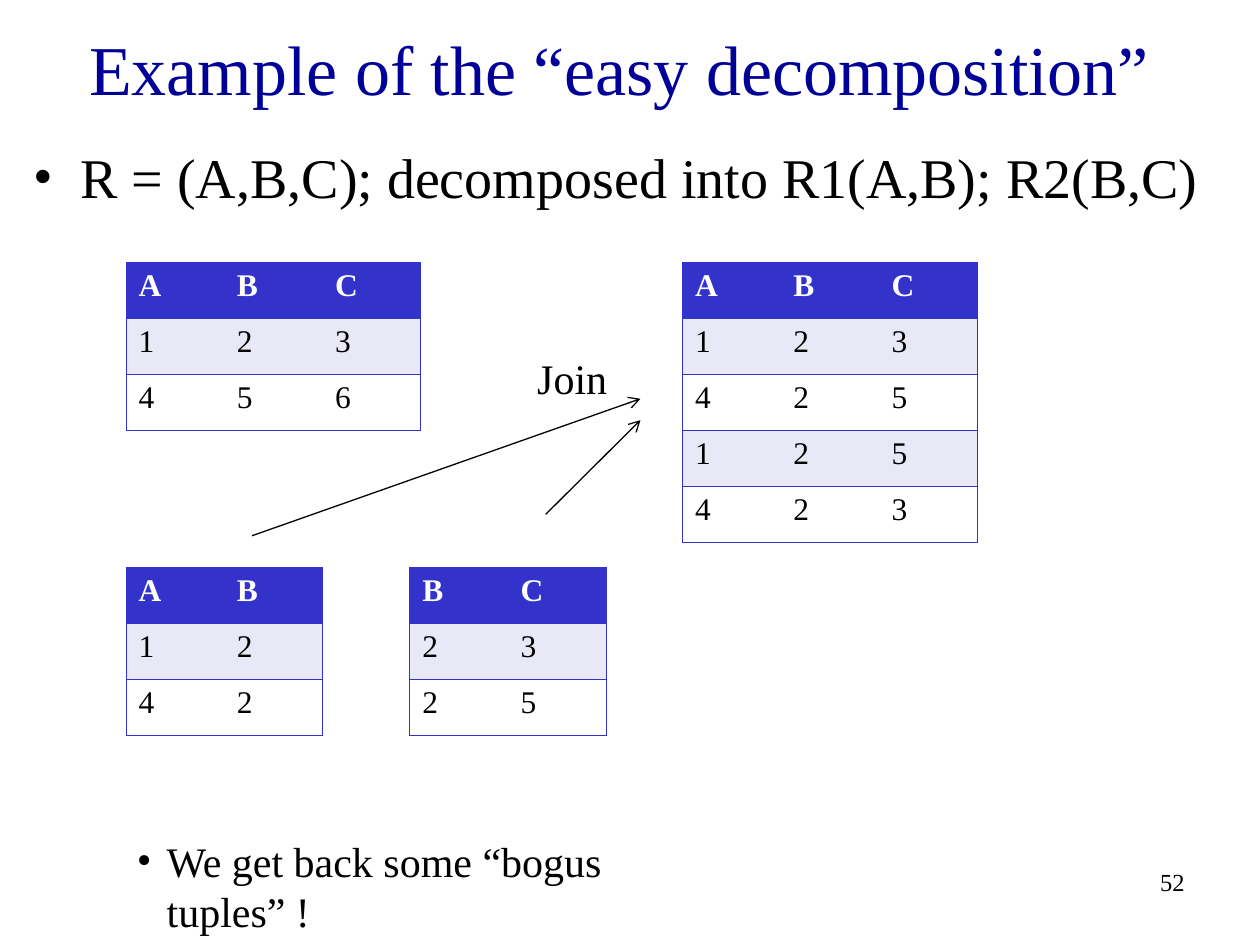
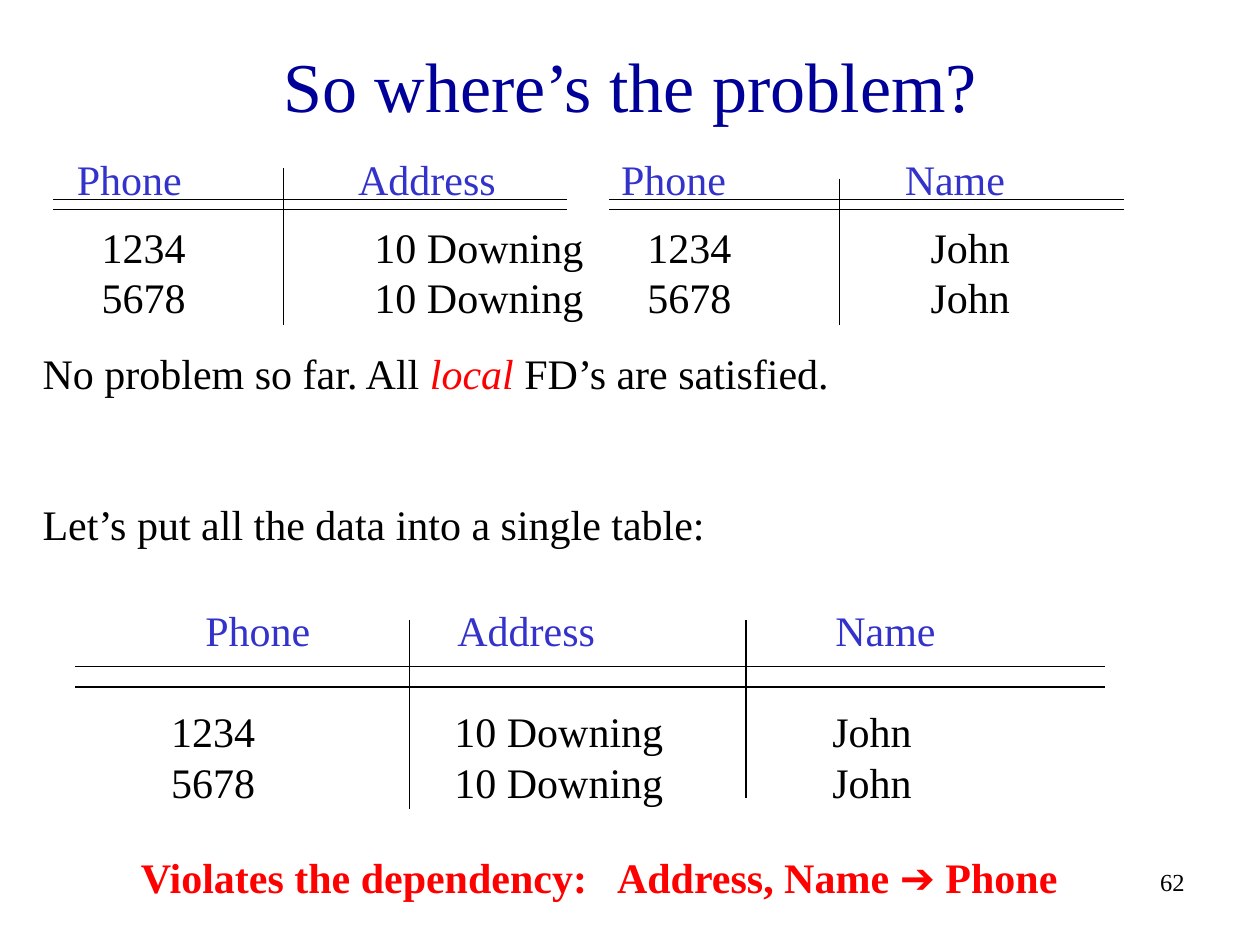
from lxml import etree
from pptx import Presentation
from pptx import util as u
from pptx.dml.color import RGBColor
from pptx.enum import shapes, text
from pptx.oxml.ns import qn

Cm, Pt = u.Cm, u.Pt

NAVY = RGBColor(0x00, 0x00, 0x99)
BLUE = RGBColor(0x33, 0x33, 0xCC)
PALE = RGBColor(0xE8, 0xE8, 0xF6)
WHITE = RGBColor(0xFF, 0xFF, 0xFF)
BLACK = RGBColor(0x00, 0x00, 0x00)
RED = RGBColor(0xFF, 0x00, 0x00)

FONT = "Times New Roman"
LEFT, CENTER, RIGHT = text.PP_ALIGN.LEFT, text.PP_ALIGN.CENTER, text.PP_ALIGN.RIGHT
TOP, MIDDLE = text.MSO_ANCHOR.TOP, text.MSO_ANCHOR.MIDDLE


def style_font(font, size=24, color=BLACK, bold=False, italic=False, name=FONT):
    font.name, font.size = name, Pt(size)
    font.bold, font.italic = bold, italic
    font.color.rgb = color


def add_bullet(para, indent):
    props = para._p.get_or_add_pPr()
    props.set("marL", str(Cm(indent)))
    props.set("indent", str(-Cm(indent)))
    etree.SubElement(props, qn("a:buFont"), typeface=FONT)
    etree.SubElement(props, qn("a:buChar"), char="•")


def add_tabs(para, stops):
    tab_list = etree.SubElement(para._p.get_or_add_pPr(), qn("a:tabLst"))
    for stop in stops:
        etree.SubElement(tab_list, qn("a:tab"), pos=str(Cm(stop)), algn="l")


def set_borders(cell, visible):
    """Draw the visible sides of a cell and clear the others."""
    props = cell._tc.get_or_add_tcPr()
    for place, side in enumerate("LRTB"):
        line = etree.Element(qn(f"a:ln{side}"), w=str(Pt(0.45)))
        if side in visible:
            fill = etree.SubElement(line, qn("a:solidFill"))
            etree.SubElement(fill, qn("a:srgbClr"), val=str(BLUE))
        else:
            etree.SubElement(line, qn("a:noFill"))
        props.insert(place, line)


class Lecture:
    """Shared style and the slide being drawn."""

    column, row = 1.98, 1.13

    def __init__(self):
        self.deck = Presentation()
        self.deck.slide_width, self.deck.slide_height = Cm(25.4), Cm(19.05)
        self.page = None

    def new_page(self, number):
        self.page = self.deck.slides.add_slide(self.deck.slide_layouts[6])
        self.text([number], 18.85, 17.35, 5.28, size=14, align=RIGHT)

    def text(self, paras, left, top, width, height=1.27, *, align=LEFT, anchor=TOP,
             bullet=None, tabs=(), gap=0, **font):
        """A paragraph is a string or a list of (text, font changes) spans."""
        box = self.page.shapes.add_textbox(Cm(left), Cm(top), Cm(width), Cm(height))
        frame = box.text_frame
        frame.word_wrap, frame.vertical_anchor = True, anchor
        for index, content in enumerate(paras):
            para = frame.add_paragraph() if index else frame.paragraphs[0]
            para.alignment = align
            if index and gap:
                para.space_before = Pt(gap)
            if bullet:
                add_bullet(para, bullet)
            if tabs:
                add_tabs(para, tabs)
            spans = [(content, {})] if isinstance(content, str) else content
            for words, changes in spans:
                span = para.add_run()
                span.text = words
                style_font(span.font, **{**font, **changes})

    def title(self, words, left, top, width, height):
        self.text([words], left, top, width, height, align=CENTER, anchor=MIDDLE,
                  size=40, color=NAVY)

    def line(self, x1, y1, x2, y2, arrow=False):
        line = self.page.shapes.add_connector(
            shapes.MSO_CONNECTOR.STRAIGHT, Cm(x1), Cm(y1), Cm(x2), Cm(y2))
        line.line.color.rgb, line.line.width = BLACK, Pt(0.75)
        if arrow:
            etree.SubElement(line.line._get_or_add_ln(), qn("a:tailEnd"), type="arrow")
        etree.SubElement(line._element.spPr, qn("a:effectLst"))

    def double_rule(self, left, right, top, gap):
        for y in (top, top + gap):
            self.line(left, y, right, y)

    def relation(self, left, top, *rows):
        """Table whose rows are strings with one character per cell."""
        count = len(rows[0])
        table = self.page.shapes.add_table(
            len(rows), count, Cm(left), Cm(top),
            Cm(count * self.column), Cm(len(rows) * self.row)).table
        table.first_row = table.horz_banding = False
        for column in table.columns:
            column.width = Cm(self.column)
        for r, values in enumerate(rows):
            table.rows[r].height = Cm(self.row)
            for c, value in enumerate(values):
                cell = table.cell(r, c)
                cell.fill.solid()
                cell.fill.fore_color.rgb = BLUE if r == 0 else PALE if r % 2 else WHITE
                para = cell.text_frame.paragraphs[0]
                span = para.add_run()
                span.text = value
                style_font(span.font, size=18, bold=r == 0, color=BLACK if r else WHITE)
                sides = "TB" + "L" * (c == 0) + "R" * (c == count - 1)
                set_borders(cell, sides)


def draw_decomposition(lecture):
    lecture.new_page("52")
    lecture.title("Example of the “easy decomposition”", 0.42, 0.42, 24.13, 1.9)
    lecture.text(["R = (A,B,C); decomposed into R1(A,B); R2(B,C)"],
                 0.42, 2.75, 24.4, 1.8, size=32, bullet=0.95)

    # Relation, its two parts and their join
    lecture.relation(2.54, 5.29, "ABC", "123", "456")
    lecture.relation(2.54, 11.43, "AB", "12", "42")
    lecture.relation(8.26, 11.43, "BC", "23", "25")
    lecture.relation(13.76, 5.29, "ABC", "123", "425", "125", "423")

    # Join arrows
    lecture.line(5.08, 10.8, 12.91, 8.04, arrow=True)
    lecture.line(11, 10.37, 12.91, 8.47, arrow=True)
    lecture.text(["Join"], 10.58, 6.98, 2.5)
    lecture.text(["We get back some “bogus tuples” !"], 2.51, 16.71, 11.2, 2.3, bullet=0.6)


def draw_problem(lecture):
    lecture.new_page("62")
    lecture.title("So where’s the problem?", 1.9, 0.64, 21.6, 2.12)

    # Two separate relations
    lecture.text(["Phone\tAddress"], 1.3, 2.97, 10, color=BLUE, tabs=[5.67])
    lecture.text(["Phone\tName"], 12.27, 2.97, 12.27, color=BLUE, tabs=[5.72])
    for left in (1.07, 12.28):
        lecture.double_rule(left, left + 10.37, 4.02, 0.21)
    lecture.line(5.72, 3.39, 5.72, 6.56)
    lecture.line(16.93, 3.6, 16.93, 6.56)
    lecture.text([f"{phone}\t10 Downing\t{phone}\tJohn" for phone in ("1234", "5678")],
                 1.8, 4.34, 21, 2.29, tabs=[5.5, 11, 16.71])

    # Remarks
    lecture.text([[("No problem so far. All ", {}),
                   ("local", {"color": RED, "italic": True}),
                   (" FD’s are satisfied.", {})],
                  "Let’s put all the data into a single table:"],
                 0.61, 6.88, 18, 4.32, gap=57.6)

    # Single table
    lecture.double_rule(1.52, 22.28, 13.44, 0.41)
    lecture.text(["Phone\tAddress\tName"], 3.89, 12.07, 17, color=BLUE, tabs=[5.08, 12.7])
    lecture.line(8.26, 12.5, 8.26, 16.3)
    lecture.line(15.04, 12.5, 15.04, 16.08)
    lecture.text([f"{phone}\t10 Downing\tJohn" for phone in ("1234", "5678")],
                 3.2, 14.1, 17, 2.29, tabs=[5.71, 13.33])
    lecture.text([[("Violates the dependency:\tAddress, Name ", {}),
                   ("➔", {"name": "Arial"}), (" Phone", {})]],
                 2.59, 17.04, 20, color=RED, bold=True, tabs=[9.6])


def main():
    lecture = Lecture()
    draw_decomposition(lecture)
    draw_problem(lecture)
    lecture.deck.save("out.pptx")


if __name__ == "__main__":
    main()
